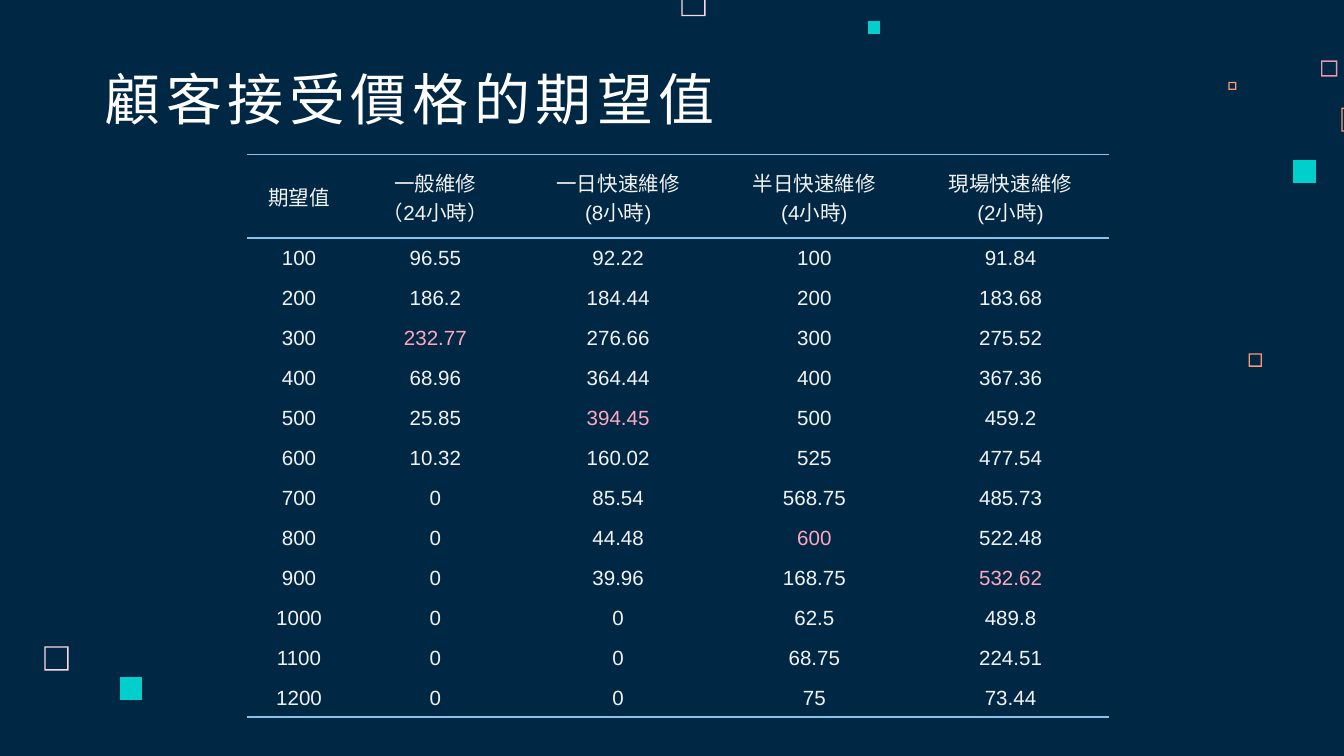
from lxml.etree import SubElement
from pptx import Presentation
from pptx.dml.color import RGBColor
from pptx.enum.text import MSO_ANCHOR, MSO_AUTO_SIZE, PP_ALIGN
from pptx.oxml.ns import qn
from pptx.util import Inches, Pt


def color(hex_string):
    return RGBColor.from_string(hex_string)


def add_border(cell, side, visible):
    line = SubElement(cell._tc.get_or_add_tcPr(), qn(f"a:{side}"), w=str(Pt(1)))
    if visible:
        fill = SubElement(line, qn("a:solidFill"))
        SubElement(fill, qn("a:srgbClr"), val=RULE)
    else:
        SubElement(line, qn("a:noFill"))


TEAL, ORANGE, ROSE, BLUSH = "00CFCC", "FF9973", "E898AC", "FFD6E1"
TEXT, HIGHLIGHT, RULE = "F2F2F2", "FFA7BF", "8CC2EA"

presentation = Presentation()
presentation.slide_width = Inches(10)
presentation.slide_height = Inches(10 * 9 / 16)
slide = presentation.slides.add_slide(presentation.slide_layouts[5])
slide.background.fill.solid()
slide.background.fill.fore_color.rgb = color("002845")

squares = [
    (5.07, -0.06, 0.18, 0.01, BLUSH),
    (9.83, 0.45, 0.12, 0.01, ROSE),
    (9.14, 0.61, 0.06, 0.01, ORANGE),
    (9.98, 0.8, 0.18, 0.01, ORANGE),
    (9.62, 1.19, 0.17, 0, TEAL),
    (9.29, 2.63, 0.1, 0.01, ORANGE),
    (6.46, 0.16, 0.09, 0, TEAL),
    (0.33, 4.81, 0.18, 0.01, BLUSH),
    (0.89, 5.04, 0.17, 0, TEAL),
]
for left, top, size, border, fill_color in squares:
    x1, y1, x2, y2 = (Inches(v) for v in (left, top, left + size, top + size))
    builder = slide.shapes.build_freeform(x1, y1)
    builder.add_line_segments([(x1, y2), (x2, y2), (x2, y1)])
    if border:
        inset = Inches(border)
        x1, y1, x2, y2 = x1 + inset, y1 + inset, x2 - inset, y2 - inset
        builder.move_to(x1, y1)
        builder.add_line_segments([(x2, y1), (x2, y2), (x1, y2)])
    square = builder.convert_to_shape()
    square.shadow.inherit = False
    square.fill.solid()
    square.fill.fore_color.rgb = color(fill_color)
    square.line.fill.background()

title = slide.shapes.title
title.left, title.top = Inches(0.68), Inches(0.45)
title.width, title.height = Inches(6.44), Inches(0.63)
frame = title.text_frame
frame.auto_size = MSO_AUTO_SIZE.NONE
frame.word_wrap = True
frame.vertical_anchor = MSO_ANCHOR.BOTTOM
frame.margin_left = frame.margin_right = Inches(0.1)
frame.margin_top = frame.margin_bottom = Inches(0.1)
paragraph = frame.paragraphs[0]
paragraph.alignment = PP_ALIGN.LEFT
run = paragraph.add_run()
run.text = "顧客接受價格的期望值"
run.font.size = Pt(30)
run.font.name = "Noto Sans CJK SC"
run.font.color.rgb = color("FFFFFF")
properties = run.font._element
properties.set("spc", "300")
SubElement(properties, qn("a:ea"), typeface="Noto Sans CJK SC")

rows = [
    ["期望值", "一般維修\n（24小時）", "一日快速維修\n(8小時)", "半日快速維修\n(4小時)", "現場快速維修\n(2小時)"],
    ["100", "96.55", "92.22", "100", "91.84"],
    ["200", "186.2", "184.44", "200", "183.68"],
    ["300", "232.77", "276.66", "300", "275.52"],
    ["400", "68.96", "364.44", "400", "367.36"],
    ["500", "25.85", "394.45", "500", "459.2"],
    ["600", "10.32", "160.02", "525", "477.54"],
    ["700", "0", "85.54", "568.75", "485.73"],
    ["800", "0", "44.48", "600", "522.48"],
    ["900", "0", "39.96", "168.75", "532.62"],
    ["1000", "0", "0", "62.5", "489.8"],
    ["1100", "0", "0", "68.75", "224.51"],
    ["1200", "0", "0", "75", "73.44"],
]
highlights = {(3, 1), (5, 2), (8, 3), (9, 4)}
column_widths = [0.77, 1.26, 1.46, 1.46, 1.46]
table_height, header_height = 4.19, 0.62
last_row = len(rows) - 1

table = slide.shapes.add_table(
    len(rows), len(column_widths),
    Inches(1.84), Inches(1.15), Inches(sum(column_widths)), Inches(table_height),
).table
table.first_row = False
table.horz_banding = False
table._tbl.tblPr.find(qn("a:tableStyleId")).text = "{2D5ABB26-0587-4C30-8999-92F81FD0307C}"
for column, width in zip(table.columns, column_widths):
    column.width = Inches(width)

for row_index, values in enumerate(rows):
    row_height = (table_height - header_height) / last_row if row_index else header_height
    table.rows[row_index].height = Inches(row_height)
    for column_index, value in enumerate(values):
        cell = table.cell(row_index, column_index)
        cell.vertical_anchor = MSO_ANCHOR.MIDDLE
        cell.margin_left = cell.margin_right = cell.margin_top = Inches(0.01)
        cell.margin_bottom = 0
        add_border(cell, "lnT", row_index in (0, 1))
        add_border(cell, "lnB", row_index in (0, last_row))
        cell.fill.background()
        paragraph = cell.text_frame.paragraphs[0]
        paragraph.alignment = PP_ALIGN.CENTER
        for line_index, line in enumerate(value.split("\n")):
            if line_index:
                paragraph.add_line_break()
            run = paragraph.add_run()
            run.text = line
            run.font.size = Pt(11)
            run.font.name = "Arial"
            highlighted = (row_index, column_index) in highlights
            run.font.color.rgb = color(HIGHLIGHT if highlighted else TEXT)

presentation.save("out.pptx")
